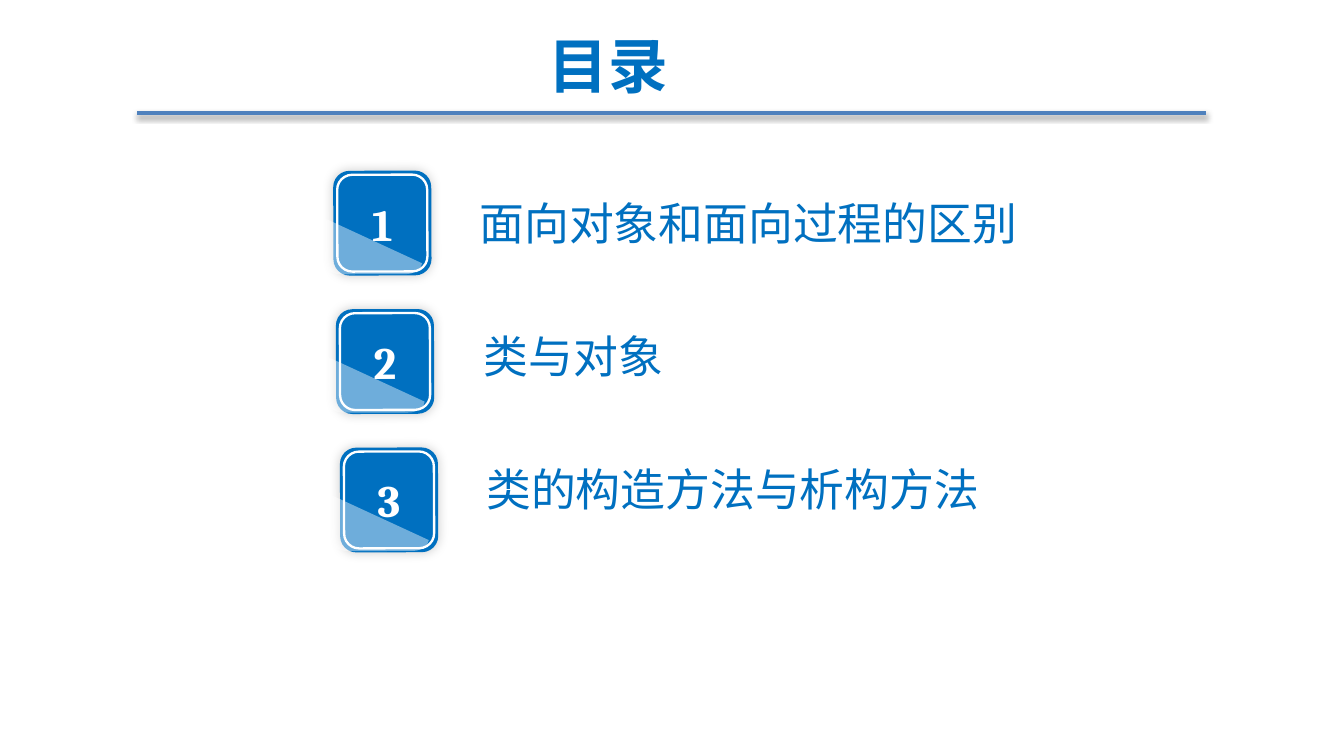
from pptx import Presentation
from pptx.dml.color import RGBColor
from pptx.enum.shapes import MSO_CONNECTOR, MSO_SHAPE
from pptx.enum.text import MSO_ANCHOR, MSO_AUTO_SIZE, PP_ALIGN
from pptx.oxml.ns import qn
from pptx.util import Inches, Pt
from lxml.etree import SubElement

TITLE = "目录"
ITEMS = [
    {"text": "面向对象和面向过程的区别", "left": 2.97, "width": 4.76, "indent": 0.5, "wrap": True},
    {"text": "类与对象", "left": 3.5, "width": 1.55, "indent": 0, "wrap": False},
    {"text": "类的构造方法与析构方法", "left": 3.52, "width": 3.9, "indent": 0, "wrap": False},
]
THEME = {
    "blue": RGBColor(0x00, 0x70, 0xC0),
    "rule": RGBColor(0x4F, 0x81, 0xBD),
    "white": RGBColor(0xFF, 0xFF, 0xFF),
    "font": "Noto Sans CJK SC",
    "digit": "Cambria",
    "head": 32,
    "body": 24,
}
WIDTH, HEIGHT = 10, 10 * 9 / 16
TILE = {"lefts": (2.48, 2.5, 2.53), "top": 1.27, "width": 0.73, "height": 0.78, "dy": 1.03}
LABEL = {"top": 1.41, "height": 0.5, "dy": 0.99}
INSET = 0.03
TILT = 359.8


def style(para, font, size, color, bold=False):
    for run in para.runs:
        run.font.name = font
        run.font.size = Pt(size)
        run.font.bold = bold
        run.font.color.rgb = color
        SubElement(run._r.get_or_add_rPr(), qn("a:ea"), typeface=font)


def shade(shape, alpha, blur, dist, angle):
    props = shape._element.spPr
    for old in props.findall(qn("a:effectLst")):
        props.remove(old)
    glow = SubElement(
        SubElement(props, qn("a:effectLst")), qn("a:outerShdw"),
        blurRad=str(Pt(blur)), dist=str(Pt(dist)), dir=str(angle * 60000),
        algn="ctr", rotWithShape="0",
    )
    color = SubElement(glow, qn("a:srgbClr"), val="000000")
    SubElement(color, qn("a:alpha"), val=str(alpha * 1000))


def curve(a, b, c, d, steps=8):
    for i in range(1, steps + 1):
        t = i / steps
        u = 1 - t
        yield tuple(
            u**3 * p + 3 * u * u * t * q + 3 * u * t * t * r + t**3 * s
            for p, q, r, s in zip(a, b, c, d)
        )


def add_box(group, x, y, w, h):
    box = group.shapes.add_shape(
        MSO_SHAPE.ROUNDED_RECTANGLE, Inches(x), Inches(y), Inches(w), Inches(h))
    box.shadow.inherit = False
    box.rotation = TILT
    return box


def add_gloss(group, x, y):
    points = [
        (0.73, 0.34),
        *curve((0.73, 0.34), (0.72, 0.39), (0.67, 0.42), (0.61, 0.42)),
        (0.13, 0.42),
        *curve((0.13, 0.42), (0.06, 0.42), (0, 0.38), (0, 0.33)),
    ]
    pen = group.shapes.build_freeform(Inches(x), Inches(y))
    pen.add_line_segments([(Inches(x + a), Inches(y + b)) for a, b in points])
    gloss = pen.convert_to_shape()
    gloss.shadow.inherit = False
    gloss.rotation = TILT
    gloss.line.fill.background()
    gloss.fill.solid()
    gloss.fill.fore_color.rgb = THEME["white"]
    color = gloss._element.spPr.find(qn("a:solidFill")).find(qn("a:srgbClr"))
    SubElement(color, qn("a:alpha"), val="43000")


def add_tile(slide, row):
    group = slide.shapes.add_group_shape()
    x = TILE["lefts"][row]
    y = TILE["top"] + row * TILE["dy"]
    w, h = TILE["width"], TILE["height"]
    base = add_box(group, x, y, w, h)
    base.fill.solid()
    base.fill.fore_color.rgb = THEME["blue"]
    base.line.fill.background()
    shade(base, 20, 6, 0, 225)
    frame = base.text_frame
    frame.text = str(row + 1)
    frame.vertical_anchor = MSO_ANCHOR.MIDDLE
    frame.paragraphs[0].alignment = PP_ALIGN.CENTER
    style(frame.paragraphs[0], THEME["digit"], THEME["body"], THEME["white"], True)
    rim = add_box(group, x + INSET, y + INSET, w - 2 * INSET, h - 2 * INSET)
    rim.fill.background()
    rim.line.color.rgb = THEME["white"]
    rim.line.width = Pt(1.25)
    add_gloss(group, x - 0.07, y + 0.35)


def add_label(slide, row, item):
    box = slide.shapes.add_textbox(
        Inches(item["left"]), Inches(LABEL["top"] + row * LABEL["dy"]),
        Inches(item["width"]), Inches(LABEL["height"]))
    frame = box.text_frame
    frame.word_wrap = item["wrap"]
    frame.auto_size = MSO_AUTO_SIZE.SHAPE_TO_FIT_TEXT
    frame.text = item["text"]
    para = frame.paragraphs[0]
    para.level = 1
    props = para._p.get_or_add_pPr()
    props.set("marL", str(Inches(item["indent"])))
    props.set("indent", "0")
    style(para, THEME["font"], THEME["body"], THEME["blue"])


def add_title(slide):
    title = slide.shapes.title
    title.left, title.top = Inches(3.98), Inches(0.09)
    title.width, title.height = Inches(2.23), Inches(0.85)
    frame = title.text_frame
    frame.text = TITLE
    frame.vertical_anchor = MSO_ANCHOR.MIDDLE
    para = frame.paragraphs[0]
    para.alignment = PP_ALIGN.LEFT
    para.line_spacing = 0.9
    style(para, THEME["font"], THEME["head"], THEME["blue"], True)
    rule = slide.shapes.add_connector(
        MSO_CONNECTOR.STRAIGHT, Inches(1.02), Inches(0.84), Inches(8.97), Inches(0.84))
    rule.line.color.rgb = THEME["rule"]
    rule.line.width = Pt(2)
    shade(rule, 38, 3.1, 1.6, 90)


def main():
    deck = Presentation()
    deck.slide_width, deck.slide_height = Inches(WIDTH), Inches(HEIGHT)
    slide = deck.slides.add_slide(deck.slide_layouts[5])
    add_title(slide)
    for row, item in enumerate(ITEMS):
        add_label(slide, row, item)
        add_tile(slide, row)
    deck.save("out.pptx")


if __name__ == "__main__":
    main()
